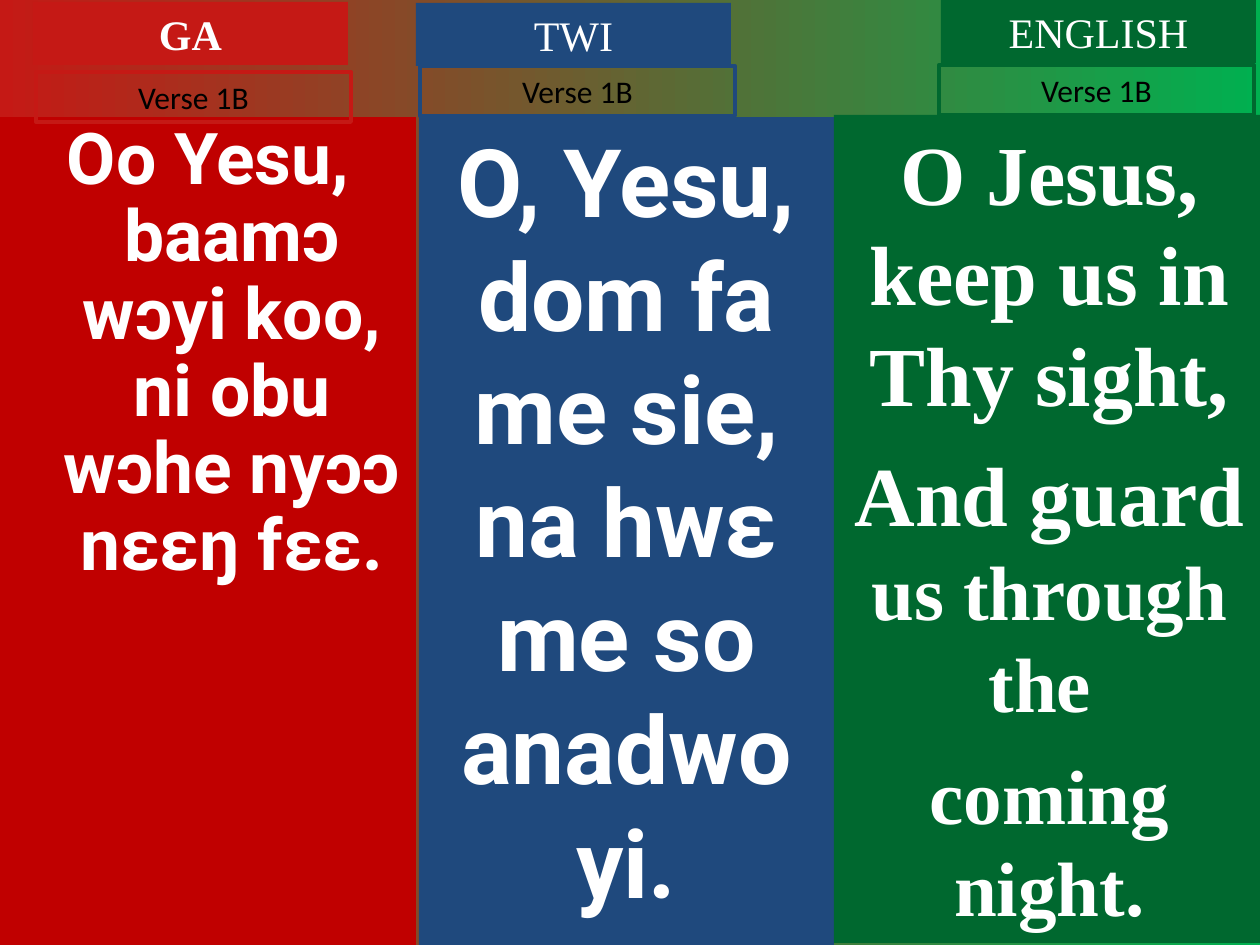
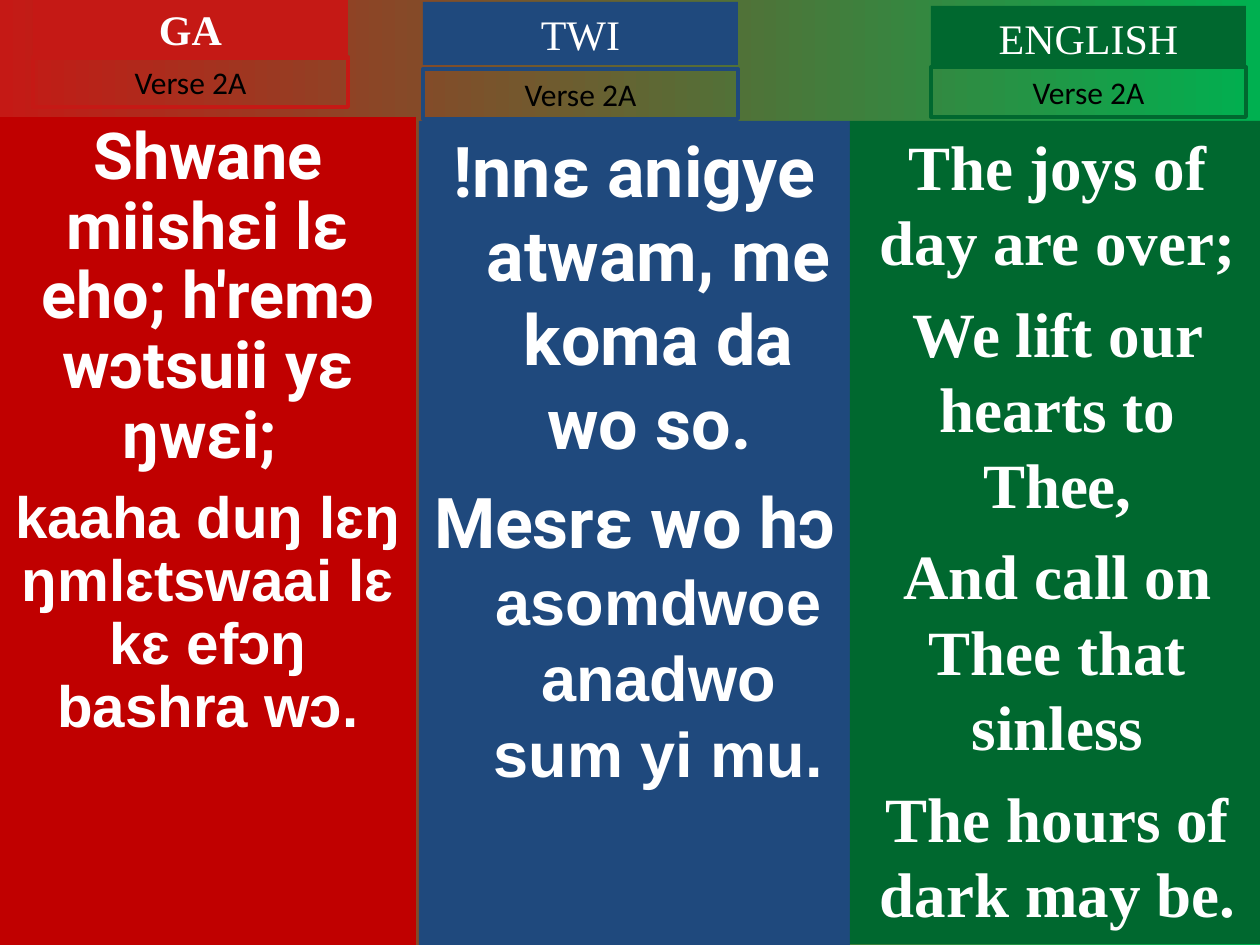
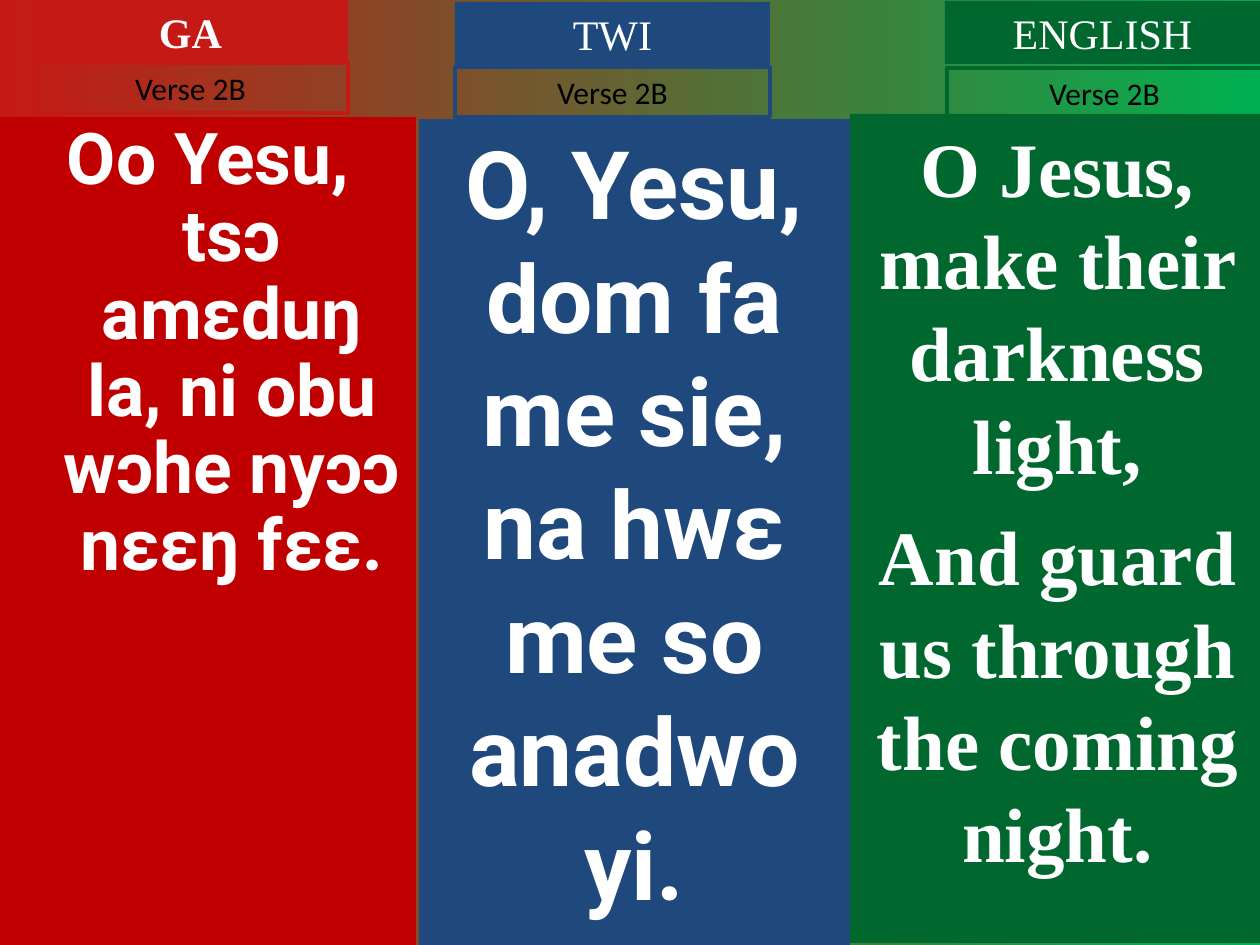
from pptx import Presentation
from pptx import util as u
from pptx.dml.color import RGBColor
from pptx.enum import shapes, text

PX = u.Inches(1) / 126

RED = RGBColor(0xC5, 0x19, 0x15)
DEEP_RED = RGBColor(0xC0, 0x00, 0x00)
BLUE = RGBColor(0x1F, 0x49, 0x7D)
GREEN = RGBColor(0x00, 0x68, 0x2F)
BRIGHT_GREEN = RGBColor(0x00, 0xB0, 0x50)
WHITE = RGBColor(0xFF, 0xFF, 0xFF)
BLACK = RGBColor(0x00, 0x00, 0x00)

SERIF, SANS, ROBOTO, LABEL = "Times New Roman", "Arial", "Roboto", "Calibri"
HEADER_SIZE = (315, 63)
VERSE_SIZE = (315, 50)
HANG = 48

# Language, panel colour, label colour, bold header
LANGUAGES = [
    ("GA", DEEP_RED, RED, True),
    ("TWI", BLUE, BLUE, False),
    ("ENGLISH", GREEN, GREEN, False),
]


def px(n):
    return u.Emu(round(n * PX))


def add_box(s, box, fill=None, line=None, grow=False):
    sp = s.shapes.add_shape(shapes.MSO_SHAPE.RECTANGLE, *map(px, box))
    sp.shadow.inherit = False
    if fill is None:
        sp.fill.background()
    else:
        sp.fill.solid()
        sp.fill.fore_color.rgb = fill
    if line is None:
        sp.line.fill.background()
    else:
        sp.line.color.rgb = line
        sp.line.width = u.Pt(2.25)
    tf = sp.text_frame
    tf.word_wrap = True
    tf.vertical_anchor = text.MSO_ANCHOR.TOP
    if grow:
        tf.auto_size = text.MSO_AUTO_SIZE.SHAPE_TO_FIT_TEXT
    return tf


def add_run(p, words, size, font, color=WHITE, bold=True):
    r = p.add_run()
    r.text = words
    r.font.size = u.Pt(size)
    r.font.name = font
    r.font.bold = bold
    r.font.color.rgb = color


def write(tf, paragraphs, before=0, spacing=None, hang=False, **fmt):
    """Each paragraph is a list of (words, size, font) runs."""
    for i, runs in enumerate(paragraphs):
        p = tf.add_paragraph() if i else tf.paragraphs[0]
        p.alignment = text.PP_ALIGN.CENTER
        if i:
            p.space_before = u.Pt(before)
        if spacing:
            p.line_spacing = spacing
        if hang:
            pPr = p._p.get_or_add_pPr()
            pPr.set("marL", str(px(HANG)))
            pPr.set("indent", str(-px(HANG)))
        for run in runs:
            add_run(p, *run, **fmt)


def add_column(s, language, verse, panel, header_at, verse_at, lyrics, **layout):
    name, panel_color, label_color, bold = language
    # Lyrics panel
    write(add_box(s, panel, fill=panel_color), lyrics, **layout)
    # Language header
    tf = add_box(s, header_at + HEADER_SIZE, fill=label_color, grow=True)
    write(tf, [[(name, 24, SERIF)]], bold=bold)
    # Verse label
    tf = add_box(s, verse_at + VERSE_SIZE, line=label_color, grow=True)
    write(tf, [[(verse, 18, LABEL)]], color=BLACK, bold=False)


GA_PANEL = (0, 117, 416, 828)
TWI_REFRAIN = [[("O, Yesu, dom fa me sie, na hwɛ me so anadwo yi.", 54, ROBOTO)]]

VERSES = [
    ("Verse 1B", [
        dict(panel=GA_PANEL, header_at=(33, 2), verse_at=(36, 72),
             spacing=0.9, hang=True,
             lyrics=[[("Oo Yesu, baamɔ wɔyi koo, ni obu wɔhe nyɔɔ nɛɛŋ fɛɛ.",
                       40.8, ROBOTO)]]),
        dict(panel=(419, 117, 415, 828), header_at=(416, 3), verse_at=(420, 66),
             lyrics=TWI_REFRAIN),
        dict(panel=(834, 115, 431, 828), header_at=(941, 0), verse_at=(939, 65),
             before=11,
             lyrics=[[("O Jesus, keep us in Thy sight,", 48, SERIF)],
                     [("And guard ", 48, SERIF), ("us through the ", 44, SERIF)],
                     [("coming night.", 44, SERIF)]]),
    ]),
    ("Verse 2A", [
        dict(panel=GA_PANEL, header_at=(33, -3), verse_at=(33, 57),
             before=9, spacing=0.9,
             lyrics=[[("Shwane miishɛi lɛ eho; h'remɔ wɔtsuii yɛ ŋwɛi; ", 37, ROBOTO)],
                     [("kaaha duŋ lɛŋ ŋmlɛtswaai lɛ kɛ efɔŋ bashra wɔ.", 33.3, SANS)]]),
        dict(panel=(419, 121, 431, 824), header_at=(423, 2), verse_at=(423, 69),
             before=9, hang=True,
             lyrics=[[("!nnɛ anigye atwam, me koma da wo so. ", 40, ROBOTO)],
                     [("Mesrɛ wo hɔ ", 40, ROBOTO),
                      ("asomdwoe anadwo sum yi mu.", 36, SANS)]]),
        dict(panel=(850, 121, 415, 823), header_at=(931, 6), verse_at=(931, 67),
             before=9,
             lyrics=[[(line, 36, SERIF)] for line in (
                 "The joys of day are over;", "We lift our hearts to Thee,",
                 "And call on Thee that sinless", "The hours of dark may be.")]),
    ]),
    ("Verse 2B", [
        dict(panel=GA_PANEL, header_at=(33, 0), verse_at=(33, 63),
             spacing=0.9, hang=True,
             lyrics=[[("Oo Yesu, tsɔ amɛduŋ la, ni obu wɔhe nyɔɔ nɛɛŋ fɛɛ.",
                       40.8, ROBOTO)]]),
        dict(panel=(419, 119, 431, 826), header_at=(455, 2), verse_at=(455, 67),
             lyrics=TWI_REFRAIN),
        dict(panel=(850, 114, 415, 829), header_at=(945, 1), verse_at=(947, 68),
             before=11,
             lyrics=[[("O Jesus, make their darkness light,", 44, SERIF)],
                     [("And guard us through the coming night.", 44, SERIF)]]),
    ]),
]


def set_background(master):
    fill = master.background.fill
    fill.gradient()
    fill.gradient_angle = 0
    for stop, color in zip(fill.gradient_stops, (RED, BRIGHT_GREEN)):
        stop.color.rgb = color


def main():
    prs = Presentation()
    prs.slide_width, prs.slide_height = px(1260), px(945)
    set_background(prs.slide_master)
    for verse, columns in VERSES:
        s = prs.slides.add_slide(prs.slide_layouts[6])
        for language, column in zip(LANGUAGES, columns):
            add_column(s, language, verse, **column)
    prs.save("out.pptx")


if __name__ == "__main__":
    main()
